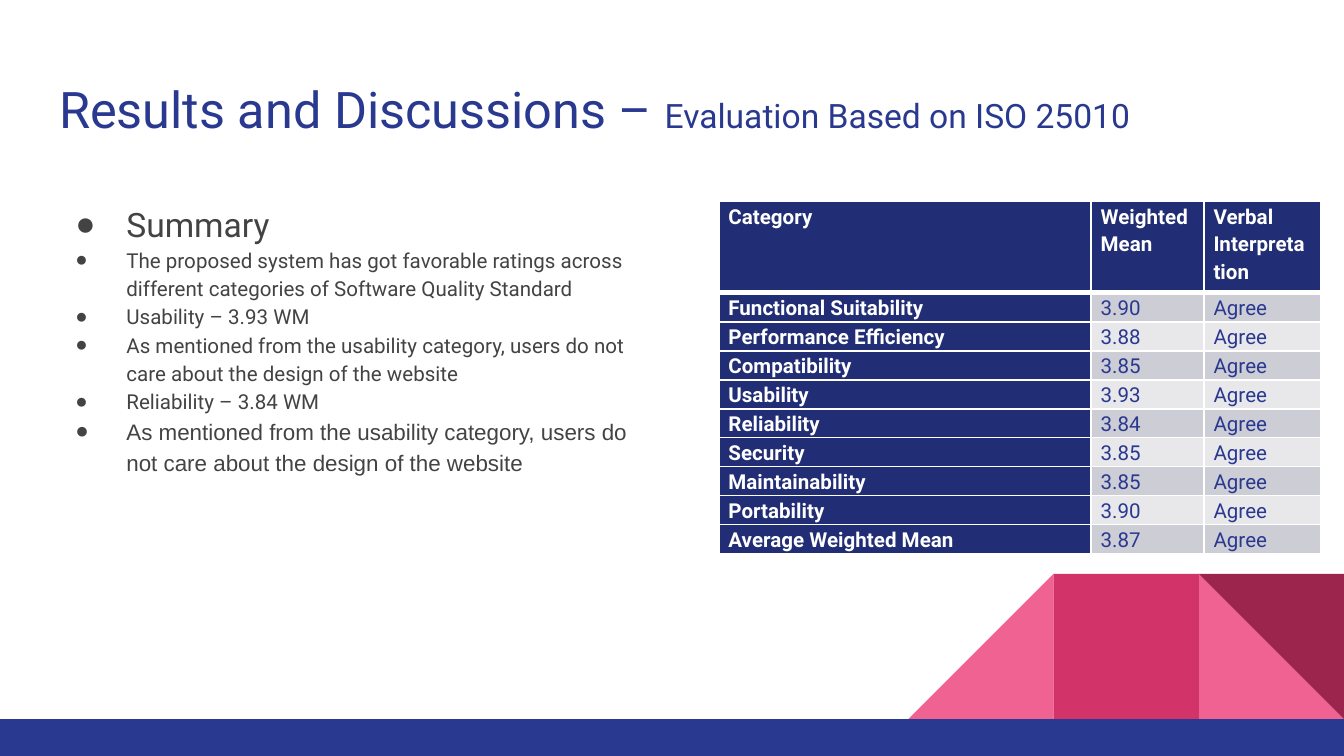
import pptx
import pptx.dml.color
import pptx.enum.shapes
import pptx.enum.text
import pptx.oxml
import pptx.oxml.ns
import pptx.util
from dataclasses import dataclass

Inches, Pt = pptx.util.Inches, pptx.util.Pt
Shape = pptx.enum.shapes.MSO_SHAPE


@dataclass(frozen=True)
class Theme:
    font: str = "Roboto"
    alternate_font: str = "Arial"
    blue: str = "2A3990"
    navy: str = "212D74"
    white: str = "FFFFFF"
    grey: str = "434343"
    pink: str = "F06292"
    rose: str = "D23369"
    wine: str = "9C254D"
    bands: tuple = ("CDCDD6", "E8E8EB")
    title: int = 27
    heading: int = 18
    text: int = 11
    large_text: int = 12
    line_spacing: float = 1.15


THEME = Theme()

TITLE = [
    ("Results and Discussions – ", THEME.title),
    ("Evaluation Based on ISO 25010", THEME.heading),
]
USABILITY_REMARK = ("As mentioned from the usability category, users do not "
                    "care about the design of the website")
BULLETS = [
    ("Summary", THEME.heading, THEME.font),
    ("The proposed system has got favorable ratings across different "
     "categories of Software Quality Standard", THEME.text, THEME.font),
    ("Usability – 3.93 WM", THEME.text, THEME.font),
    (USABILITY_REMARK, THEME.text, THEME.font),
    ("Reliability – 3.84 WM", THEME.text, THEME.font),
    (USABILITY_REMARK, THEME.large_text, THEME.alternate_font),
]
RATINGS = [
    ("Category", "Weighted Mean", "Verbal Interpretation"),
    ("Functional Suitability", "3.90", "Agree"),
    ("Performance Efficiency", "3.88", "Agree"),
    ("Compatibility", "3.85", "Agree"),
    ("Usability", "3.93", "Agree"),
    ("Reliability", "3.84", "Agree"),
    ("Security", "3.85", "Agree"),
    ("Maintainability", "3.85", "Agree"),
    ("Portability", "3.90", "Agree"),
    ("Average Weighted Mean", "3.87", "Agree"),
]
COLUMN_WIDTHS = (2.77, 0.84, 0.87)
TABLE_LEFT, TABLE_TOP, TABLE_HEIGHT = 5.35, 1.5, 2.62
HEADER_HEIGHT = 0.68

PAGE_WIDTH = 10
PAGE_HEIGHT = PAGE_WIDTH * 9 / 16
TILE, BAND_TOP = 1.08, 5.35
# Shape, column counted from the right edge, colour, rotation, mirrored
TILES = [
    (Shape.RIGHT_TRIANGLE, 1, THEME.pink, 0, False),
    (Shape.RIGHT_TRIANGLE, 3, THEME.pink, 0, True),
    (Shape.RECTANGLE, 2, THEME.rose, 0, False),
    (Shape.RIGHT_TRIANGLE, 1, THEME.wine, 180, False),
]


def rgb(value):
    return pptx.dml.color.RGBColor.from_string(value)


def add_element(parent, tag, **attributes):
    child = pptx.oxml.parse_xml(f"<a:{tag} {pptx.oxml.ns.nsdecls('a')}/>")
    for name, value in attributes.items():
        child.set(name, str(value))
    parent.append(child)
    return child


def add_span(para, text, size, color, font=THEME.font, bold=False):
    span = para.add_run()
    span.text = text
    span.font.name, span.font.size, span.font.bold = font, Pt(size), bold
    span.font.color.rgb = rgb(color)


def add_filled(page, kind, left, top, width, height, color):
    shape = page.shapes.add_shape(
        kind, Inches(left), Inches(top), Inches(width), Inches(height))
    shape.shadow.inherit = False
    shape.fill.solid()
    shape.fill.fore_color.rgb = rgb(color)
    shape.line.fill.background()
    return shape


def place(box, left, top, width, height):
    """Move a placeholder and set its margins, top anchor and wrapping."""
    box.left, box.top = Inches(left), Inches(top)
    box.width, box.height = Inches(width), Inches(height)
    frame = box.text_frame
    frame.margin_left = frame.margin_right = Inches(0.1)
    frame.margin_top = frame.margin_bottom = Inches(0.1)
    frame.vertical_anchor = pptx.enum.text.MSO_ANCHOR.TOP
    frame.auto_size = pptx.enum.text.MSO_AUTO_SIZE.NONE
    frame.word_wrap = True
    return frame


def add_decoration(page):
    for kind, column, color, rotation, mirrored in TILES:
        tile = add_filled(page, kind, PAGE_WIDTH - column * TILE,
                          BAND_TOP - TILE, TILE, TILE, color)
        tile.rotation = rotation
        if mirrored:
            tile.element.spPr.xfrm.set("flipH", "1")
    add_filled(page, Shape.RECTANGLE, 0, BAND_TOP, PAGE_WIDTH,
               PAGE_HEIGHT - BAND_TOP, THEME.blue)


def fill_title(page):
    para = place(page.shapes.title, 0.34, 0.48, 9.32, 0.66).paragraphs[0]
    para.alignment = pptx.enum.text.PP_ALIGN.LEFT
    for text, size in TITLE:
        add_span(para, text, size, THEME.blue)


def fill_bullets(page):
    frame = place(page.placeholders[1], 0.34, 1.37, 4.66, 3.83)
    for index, (text, size, font) in enumerate(BULLETS):
        para = frame.add_paragraph() if index else frame.paragraphs[0]
        para.line_spacing = THEME.line_spacing
        para.space_before = Pt(0)
        properties = para._p.get_or_add_pPr()
        properties.set("marL", str(Inches(0.5)))
        properties.set("indent", str(Inches(-0.38)))
        bullet_color = add_element(properties, "buClr")
        add_element(bullet_color, "srgbClr", val=THEME.grey)
        add_element(properties, "buFont", typeface=THEME.alternate_font)
        add_element(properties, "buChar", char="●")
        add_span(para, text, size, THEME.grey, font)


def set_borders(cell, row):
    widths = {"lnL": 1, "lnR": 1,
              "lnT": 3 if row == 1 else 1, "lnB": 3 if row == 0 else 1}
    for side, width in widths.items():
        line = add_element(cell._tc.get_or_add_tcPr(), side, w=Pt(width))
        add_element(add_element(line, "solidFill"), "srgbClr", val=THEME.white)


def add_ratings(page):
    table = page.shapes.add_table(
        len(RATINGS), len(COLUMN_WIDTHS), Inches(TABLE_LEFT),
        Inches(TABLE_TOP), Inches(sum(COLUMN_WIDTHS)),
        Inches(TABLE_HEIGHT)).table
    for column, width in zip(table.columns, COLUMN_WIDTHS):
        column.width = Inches(width)
    row_height = (TABLE_HEIGHT - HEADER_HEIGHT) / (len(RATINGS) - 1)
    for row, values in enumerate(RATINGS):
        table.rows[row].height = Inches(row_height if row else HEADER_HEIGHT)
        for column, text in enumerate(values):
            cell = table.cell(row, column)
            is_label = row == 0 or column == 0
            set_borders(cell, row)
            cell.fill.solid()
            cell.fill.fore_color.rgb = rgb(
                THEME.navy if is_label else THEME.bands[(row - 1) % 2])
            cell.margin_left = cell.margin_right = Inches(0.07)
            cell.margin_top = cell.margin_bottom = 0
            para = cell.text_frame.paragraphs[0]
            para.line_spacing = THEME.line_spacing
            para.space_after = Pt(8)
            add_span(para, text, THEME.text,
                     THEME.white if is_label else THEME.blue, bold=is_label)


def main():
    deck = pptx.Presentation()
    deck.slide_width, deck.slide_height = Inches(PAGE_WIDTH), Inches(PAGE_HEIGHT)
    page = deck.slides.add_slide(deck.slide_layouts[1])
    add_decoration(page)
    fill_title(page)
    fill_bullets(page)
    add_ratings(page)
    deck.save("out.pptx")


if __name__ == "__main__":
    main()
